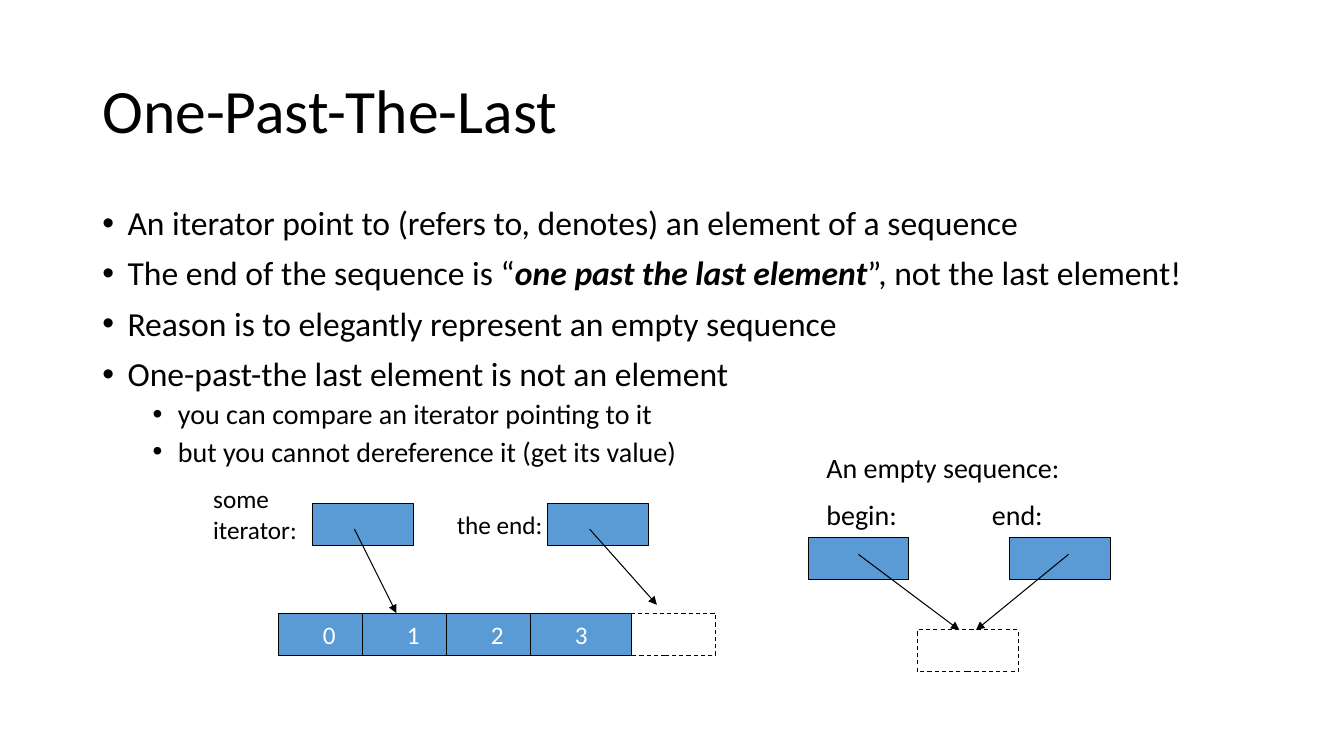
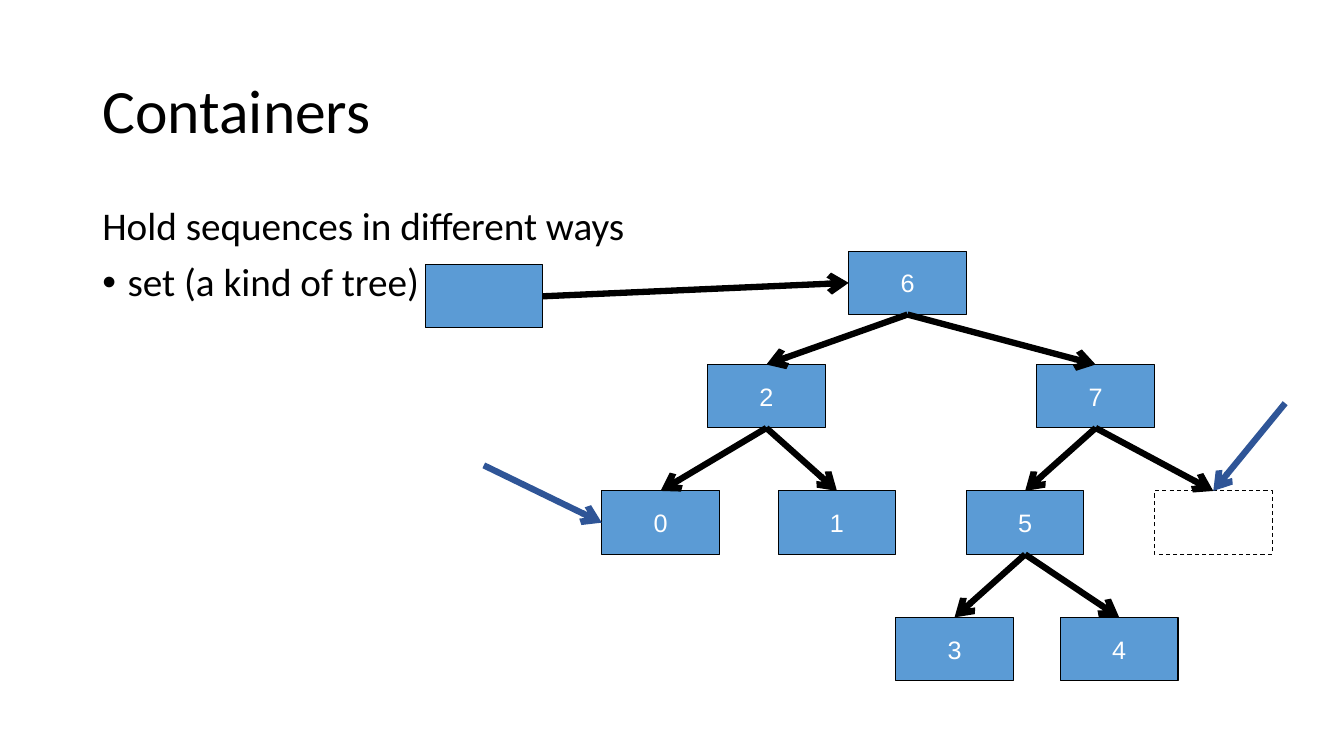
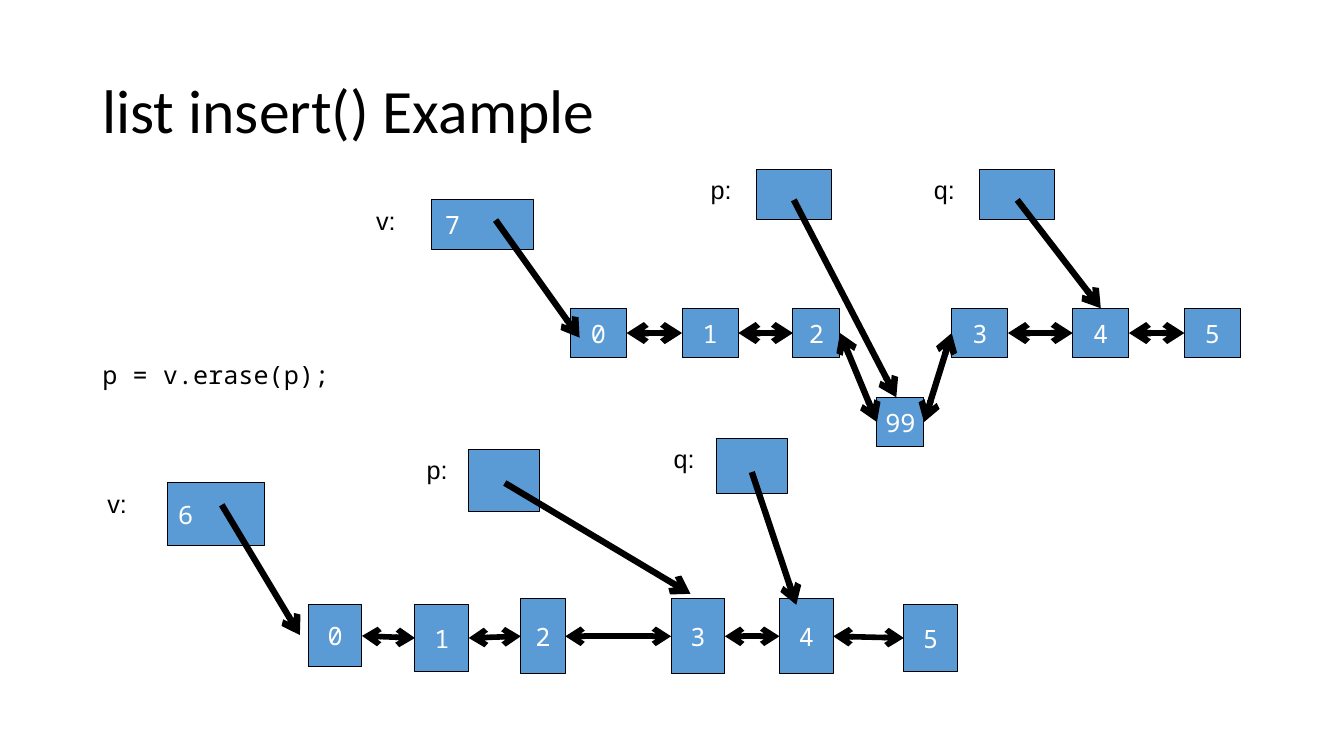
from lxml.etree import SubElement
from pptx import Presentation
from pptx.dml.color import RGBColor
from pptx.enum.dml import MSO_LINE
from pptx.enum.shapes import MSO_CONNECTOR, MSO_SHAPE
from pptx.enum.text import MSO_ANCHOR, PP_ALIGN
from pptx.oxml.ns import qn
from pptx.util import Inches, Pt

BLACK = RGBColor(0x00, 0x00, 0x00)
WHITE = RGBColor(0xFF, 0xFF, 0xFF)
BLUE = RGBColor(0x5B, 0x9B, 0xD5)
NAVY = RGBColor(0x2F, 0x55, 0x97)
BODY, LABEL, MONO = "Calibri", "Arial", "Noto Sans Mono"
COLUMNS, ROWS = 160, 90
TOP, LEFT, BOTTOM, RIGHT = range(4)


class Deck:
    """Shared style and the current slide; lengths are grid columns and rows."""

    def __init__(self):
        self.file = Presentation()
        self.file.slide_width = Inches(13.33)
        self.file.slide_height = Inches(7.5)
        self.slide = None

    def x(self, columns):
        return round(self.file.slide_width * columns / COLUMNS)

    def y(self, rows):
        return round(self.file.slide_height * rows / ROWS)

    def area(self, left, top, width, height):
        return self.x(left), self.y(top), self.x(width), self.y(height)

    def new_slide(self, title):
        self.slide = self.file.slides.add_slide(self.file.slide_layouts[6])
        frame = self.frame(11, 4.8, 138, 17.4, MSO_ANCHOR.MIDDLE)
        frame.paragraphs[0].line_spacing = 0.9
        self.set_text(frame.paragraphs[0], title, 44, BODY)

    def frame(self, left, top, width, height, anchor=MSO_ANCHOR.TOP):
        frame = self.slide.shapes.add_textbox(*self.area(left, top, width, height)).text_frame
        frame.word_wrap = True
        frame.vertical_anchor = anchor
        return frame

    def set_text(self, paragraph, text, size, font, color=BLACK):
        """Fill a paragraph; parts between asterisks are bold italic."""
        for number, part in enumerate(text.split("*")):
            run = paragraph.add_run()
            run.text = part
            if number % 2:
                run.font.bold = run.font.italic = True
        paragraph.font.size = Pt(size)
        paragraph.font.name = font
        paragraph.font.color.rgb = color

    def body(self, items):
        """Items are (level, size, text); level None has no bullet."""
        frame = self.frame(11, 24, 138, 57.1)
        for number, (level, size, text) in enumerate(items):
            paragraph = frame.add_paragraph() if number else frame.paragraphs[0]
            paragraph.line_spacing = 0.9
            paragraph.space_before = Pt(5 if level else 10)
            if level is not None:
                paragraph.level = level
                props = paragraph._p.get_or_add_pPr()
                props.set("marL", str(Inches(0.25 + level / 2)))
                props.set("indent", str(Inches(-0.25)))
                SubElement(props, qn("a:buFont"), typeface="Arial")
                SubElement(props, qn("a:buChar"), char="•")
            self.set_text(paragraph, text, size, BODY)

    def label(self, left, top, width, height, lines, size=18, font=BODY, tab=None):
        frame = self.frame(left, top, width, height)
        for number, line in enumerate(lines):
            paragraph = frame.add_paragraph() if number else frame.paragraphs[0]
            paragraph.space_before = Pt(size / 2 if number else 0)
            if tab:
                stops = SubElement(paragraph._p.get_or_add_pPr(), qn("a:tabLst"))
                SubElement(stops, qn("a:tab"), pos=str(self.x(tab)), algn="l")
            self.set_text(paragraph, line, size, font)

    def box(self, left, top, width, height, text="", font=BODY, fill=BLUE, inset=None):
        """A node; an inset in columns sets its text at the left."""
        node = self.slide.shapes.add_shape(MSO_SHAPE.RECTANGLE, *self.area(left, top, width, height))
        node.shadow.inherit = False
        if fill is None:
            node.fill.background()
        else:
            node.fill.solid()
            node.fill.fore_color.rgb = fill
        node.line.color.rgb = BLACK
        node.line.width = Pt(0.75)
        if text:
            frame = node.text_frame
            frame.word_wrap = inset is not None
            frame.vertical_anchor = MSO_ANCHOR.MIDDLE
            frame.paragraphs[0].alignment = PP_ALIGN.CENTER
            if inset is not None:
                frame.margin_left = self.x(inset)
                frame.paragraphs[0].alignment = PP_ALIGN.LEFT
            self.set_text(frame.paragraphs[0], text, 18, font, WHITE)
        return node

    def slot(self, left, top, width, height, fill=None):
        """The dashed place one past the last element."""
        node = self.box(left, top, width, height, fill=fill)
        node.line.dash_style = MSO_LINE.DASH
        return node

    def arrow(self, start, end, width=4.5, color=BLACK, tip="arrow", both=False):
        """Each end is a point (column, row) or a joint (node, side)."""
        link = self.slide.shapes.add_connector(MSO_CONNECTOR.STRAIGHT, 0, 0, 0, 0)
        if isinstance(start[0], (int, float)):
            link.begin_x, link.begin_y = self.x(start[0]), self.y(start[1])
        else:
            link.begin_connect(*start)
        if isinstance(end[0], (int, float)):
            link.end_x, link.end_y = self.x(end[0]), self.y(end[1])
        else:
            link.end_connect(*end)
        link.line.color.rgb = color
        link.line.width = Pt(width)
        props = link._element.spPr
        outline = props.find(qn("a:ln"))
        if both:
            SubElement(outline, qn("a:headEnd"), type=tip)
        SubElement(outline, qn("a:tailEnd"), type=tip)
        SubElement(props, qn("a:effectLst"))


def one_past_the_last(deck):
    deck.new_slide("One-Past-The-Last")
    deck.body([
        (0, 24, "An iterator point to (refers to, denotes) an element of a sequence"),
        (0, 24, "The end of the sequence is “*one past the last element*”, not the last element!"),
        (0, 24, "Reason is to elegantly represent an empty sequence"),
        (0, 24, "One-past-the last element is not an element"),
        (1, 20, "you can compare an iterator pointing to it"),
        (1, 20, "but you cannot dereference it (get its value)"),
    ])
    width, height = 12, 5
    # Sequence with its end slot beneath the last element
    first, step, row = 33.2, 10, 73
    deck.slot(first + 4 * step, row, width, height, WHITE)
    for value in range(4):
        deck.box(first + value * step, row, width, height, str(value))
    # Empty sequence
    deck.slot(109.2, 75, width, height, WHITE)
    # Iterators
    for left, top in ((37.2, 60), (65.2, 60), (96.2, 64), (120.2, 64)):
        deck.box(left, top, width, height)
    for start, end in (((42.2, 63), (47.2, 73)), ((70.2, 63), (78.2, 72)),
                       ((102.2, 66), (114.2, 75)), ((127.2, 66), (116.2, 75))):
        deck.arrow(start, end, 0.75, tip="triangle")
    deck.label(24.2, 57, 13, 8.4, ["some iterator:"])
    deck.label(53.2, 60, 14, 4.8, ["the end:"])
    deck.label(97.2, 53, 35, 11.3, ["An empty sequence:", "begin:\tend:"], 20, tab=19.7)


def containers(deck):
    deck.new_slide("Containers")
    deck.body([(None, 28, "Hold sequences in different ways"), (0, 28, "set (a kind of tree)")])
    left, step, width, height = 50.64, 2.8, 14, 7.55
    levels = (29.9, 43.4, 58.45, 73.5)
    # Tree nodes: value -> (column step, level)
    places = {"6": (18, 0), "2": (12, 1), "7": (26, 1), "0": (7.5, 2), "1": (15, 2),
              "5": (23, 2), "3": (20, 3), "4": (27, 3)}
    nodes = {value: deck.box(left + column * step, levels[level], width, height, value, LABEL)
             for value, (column, level) in places.items()}
    nodes["end"] = deck.slot(left + 31 * step, levels[2], width, height)
    holder = deck.box(left, 31.5, width, height)
    # Links from parents to children
    children = {"6": "27", "2": "01", "7": ("5", "end"), "5": "34"}
    for parent, below in children.items():
        for child in below:
            deck.arrow((nodes[parent], BOTTOM), (nodes[child], TOP))
    deck.arrow((holder, RIGHT), (nodes["6"], LEFT))
    # Begin and end iterators
    deck.arrow((57.6, 55.4), (nodes["0"], LEFT), color=NAVY)
    deck.arrow((153, 48), (nodes["end"], TOP), color=NAVY)


def list_insert(deck):
    deck.new_slide("list insert() Example")
    deck.label(11, 42.2, 34, 4.2, ["p = v.erase(p);"], font=MONO)
    # Chains before and after the erase: value, left, top, width, height
    before = [("0", 67.9, 36.7, 6.7, 5.9), ("1", 81.2, 36.7, 6.7, 5.9),
              ("2", 94.4, 36.7, 5.6, 5.9), ("99", 104.4, 47.3, 5.6, 5.9),
              ("3", 113.3, 36.7, 6.7, 5.9), ("4", 127.7, 36.7, 6.7, 5.9),
              ("5", 141, 36.7, 6.7, 5.9)]
    after = [("0", 36.7, 72, 6.4, 7.4), ("1", 49.4, 72, 6.4, 7.9),
             ("2", 62, 71.3, 5.3, 8.9), ("3", 79.9, 71.3, 6.4, 8.9),
             ("4", 92.8, 71.3, 6.4, 8.9), ("5", 107.6, 72, 6.4, 7.9)]
    chains = []
    for chain, weight in ((before, 4.5), (after, 4)):
        nodes = [deck.box(*place, value, MONO) for value, *place in chain]
        for node, following in zip(nodes, nodes[1:]):
            deck.arrow((node, RIGHT), (following, LEFT), weight, both=True)
        chains.append(nodes)
    # Variables: name, its left, box (left, top, width, height), size, arrow ends
    variables = [
        ("v:", 43.6, (51.4, 23.8, 12.1, 5.9), "7", (59, 26.2), (69, 40.2)),
        ("p:", 83.4, (90.1, 20.2, 8.9, 5.9), "", (94.5, 23.8), (106.7, 47.3)),
        ("q:", 110, (116.6, 20.2, 8.9, 5.9), "", (121.1, 23.8), (chains[0][5], TOP)),
        ("v:", 11.6, (19.9, 57.5, 11.6, 7.4), "6", (26.4, 60.1), (35.7, 75.6)),
        ("p:", 49.6, (55.8, 53.5, 8.4, 7.4), "", (60.1, 57.5), (82.2, 70.7)),
        ("q:", 79, (85.3, 52.2, 8.4, 6.6), "", (89.5, 56.2), (94.8, 72)),
    ]
    for name, name_left, place, size, start, end in variables:
        deck.label(name_left, place[1], 7, 5.6, [name], font=LABEL)
        deck.box(*place, size, MONO, inset=(place[2] - 9) / 2)
        deck.arrow(start, end)


def main():
    deck = Deck()
    one_past_the_last(deck)
    containers(deck)
    list_insert(deck)
    deck.file.save("out.pptx")


if __name__ == "__main__":
    main()
